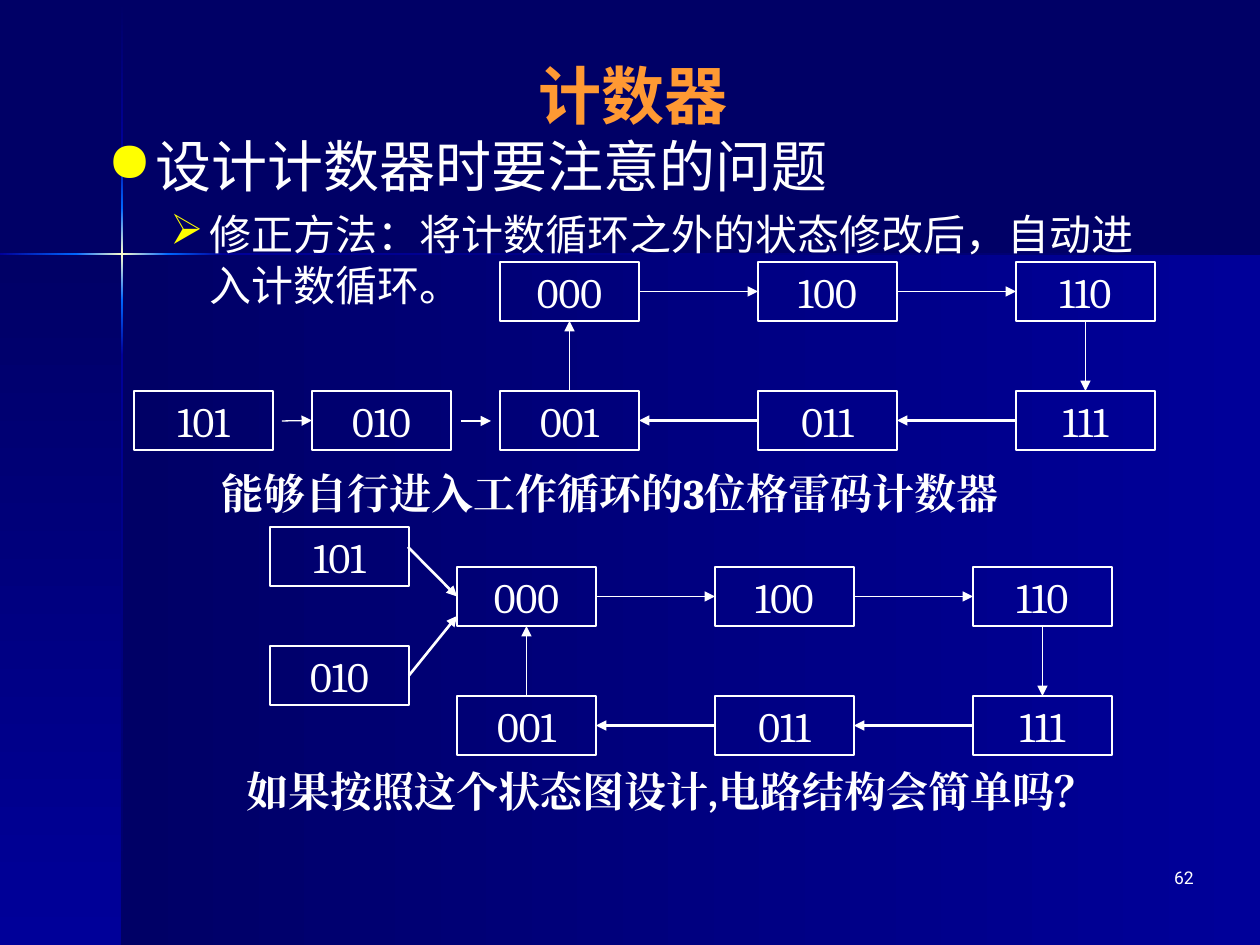
from lxml import etree
from pptx import Presentation
from pptx.dml.color import RGBColor
from pptx.enum.shapes import MSO_CONNECTOR as CONNECTOR, MSO_SHAPE as SHAPE
from pptx.enum.text import MSO_ANCHOR as ANCHOR, PP_ALIGN as ALIGN
from pptx.oxml.ns import qn
from pptx.util import Emu, Pt

WIDTH, HEIGHT = 1260, 945
SCALE = 914400 / 126
NAVY = RGBColor(0x00, 0x00, 0x66)
BLUE = RGBColor(0x00, 0x00, 0x99)
BRIGHT = RGBColor(0x00, 0x66, 0xFF)
CREAM = RGBColor(0xFF, 0xFF, 0xCC)
ORANGE = RGBColor(0xFF, 0x99, 0x33)
YELLOW = RGBColor(0xFF, 0xFF, 0x00)
WHITE = RGBColor(0xFF, 0xFF, 0xFF)
SANS, SERIF = "Roboto", "Cambria"

ACROSS, DOWN = 0, 90
BANDS = [
    ((122, 255, 1138, 690), ACROSS, (NAVY, BLUE)),
    ((0, 255, 122, 690), DOWN, (NAVY, BLUE)),
    ((121, 1, 2, 151), DOWN, (NAVY, BLUE)),
    ((121, 355, 2, 590), DOWN, (BLUE, NAVY)),
    ((223, 253, 1037, 2), ACROSS, (BLUE, NAVY)),
    ((121, 300, 2, 55), DOWN, (BRIGHT, BLUE)),
    ((121, 152, 2, 56), DOWN, (BLUE, BRIGHT)),
    ((121, 208, 2, 92), DOWN, (BRIGHT, CREAM, BRIGHT)),
    ((0, 253, 76, 2), ACROSS, (BLUE, BRIGHT)),
    ((168, 253, 55, 2), ACROSS, (BRIGHT, BLUE)),
    ((76, 253, 92, 2), ACROSS, (BRIGHT, CREAM, BRIGHT)),
]

TITLE = "计数器 "
BULLETS = [
    ("设计计数器时要注意的问题", 32, "●", 48, 48, 0),
    ("修正方法：将计数循环之外的状态修改后，自动进入计数循环。", 24, "➢", 102, 39, 6),
]
PAGE_NUMBER = "62"
CAPTIONS = [
    ("能够自行进入工作循环的3位格雷码计数器", (209, 461, 883, 63)),
    ("如果按照这个状态图设计,电路结构会简单吗？", (234, 759, 953, 63)),
]

BOX_WIDTH, BOX_HEIGHT = 139, 59
COLUMN_STEP, ROW_STEP = 258, 129
TOP, LEFT, BOTTOM, RIGHT = range(4)
STATES = [["000", "100", "110"], ["001", "011", "111"]]
TRANSITIONS = [
    ("000", RIGHT, "100", LEFT, 0.75),
    ("100", RIGHT, "110", LEFT, 0.75),
    ("110", BOTTOM, "111", TOP, 0.75),
    ("111", LEFT, "011", RIGHT, 1.5),
    ("011", LEFT, "001", RIGHT, 1.5),
    ("001", TOP, "000", BOTTOM, 0.75),
]
CHAIN_LOOP, MERGE_LOOP = (500, 262), (457, 567)
CHAIN_ENTRIES = {"101": (134, 391), "010": (312, 391)}
MERGE_ENTRIES = {"101": (270, 527), "010": (270, 646)}


def px(value):
    return Emu(round(value * SCALE))


def add_run(paragraph, text, size, font_name, color=WHITE, bold=False):
    run = paragraph.add_run()
    run.text = text
    font = run.font
    font.size, font.name, font.bold = Pt(size), font_name, bold
    font.color.rgb = color
    east_asian = etree.SubElement(run._r.get_or_add_rPr(), qn("a:ea"))
    east_asian.set("typeface", font_name)


def add_text_frame(slide, area):
    frame = slide.shapes.add_textbox(*map(px, area)).text_frame
    frame.word_wrap = True
    return frame


def add_band(slide, area, angle, colors):
    shape = slide.shapes.add_shape(SHAPE.RECTANGLE, *map(px, area))
    shape.shadow.inherit = False
    shape.line.fill.background()
    shape.fill.gradient()
    shape.fill.gradient_angle = -angle % 360
    stops = shape._element.spPr.find(".//" + qn("a:gsLst"))
    for stop in list(stops):
        stops.remove(stop)
    for index, color in enumerate(colors):
        position = str(100000 * index // (len(colors) - 1))
        stop = etree.SubElement(stops, qn("a:gs"), pos=position)
        etree.SubElement(stop, qn("a:srgbClr"), val=str(color))


def add_bullet(paragraph, character, margin, hanging):
    properties = paragraph._p.get_or_add_pPr()
    properties.set("marL", str(px(margin)))
    properties.set("indent", str(-px(hanging)))
    bullet_color = etree.SubElement(properties, qn("a:buClr"))
    etree.SubElement(bullet_color, qn("a:srgbClr"), val=str(YELLOW))
    etree.SubElement(properties, qn("a:buChar"), char=character)


def add_state(slide, name, left, top):
    shape = slide.shapes.add_shape(
        SHAPE.RECTANGLE, *map(px, (left, top, BOX_WIDTH, BOX_HEIGHT)))
    shape.shadow.inherit = False
    shape.fill.background()
    shape.line.color.rgb = WHITE
    shape.line.width = Pt(0.75)
    frame = shape.text_frame
    frame.word_wrap = False
    frame.vertical_anchor = ANCHOR.MIDDLE
    paragraph = frame.paragraphs[0]
    paragraph.alignment = ALIGN.CENTER
    add_run(paragraph, name, 24, SERIF)
    return shape


def add_arrow(slide, start, end, width=0.75):
    """Draw an arrow; each end is a point or a (shape, side) pair."""
    ends = [(0, 0) if hasattr(place[0], "text_frame") else place for place in (start, end)]
    arrow = slide.shapes.add_connector(
        CONNECTOR.STRAIGHT, *(px(value) for point in ends for value in point))
    if hasattr(start[0], "text_frame"):
        arrow.begin_connect(*start)
    if hasattr(end[0], "text_frame"):
        arrow.end_connect(*end)
    arrow.line.color.rgb = WHITE
    arrow.line.width = Pt(width)
    etree.SubElement(arrow.line._get_or_add_ln(), qn("a:tailEnd"), type="triangle")
    etree.SubElement(arrow._element.spPr, qn("a:effectLst"))


def add_diagram(slide, origin, entries):
    left, top = origin
    places = dict(entries)
    for row, names in enumerate(STATES):
        for column, name in enumerate(names):
            places[name] = (left + column * COLUMN_STEP, top + row * ROW_STEP)
    states = {name: add_state(slide, name, *place) for name, place in places.items()}
    for source, source_side, target, target_side, width in TRANSITIONS:
        add_arrow(slide, (states[source], source_side), (states[target], target_side), width)
    return states


def main():
    presentation = Presentation()
    presentation.slide_width, presentation.slide_height = px(WIDTH), px(HEIGHT)
    slide = presentation.slides.add_slide(presentation.slide_layouts[6])
    slide.background.fill.solid()
    slide.background.fill.fore_color.rgb = NAVY
    for band in BANDS:
        add_band(slide, *band)

    title = add_text_frame(slide, (63, 42, 1155, 105))
    title.vertical_anchor = ANCHOR.MIDDLE
    title.paragraphs[0].alignment = ALIGN.CENTER
    add_run(title.paragraphs[0], TITLE, 36, SANS, ORANGE, True)

    body = add_text_frame(slide, (95, 125, 1092, 640))
    for level, (text, size, character, margin, hanging, before) in enumerate(BULLETS):
        paragraph = body.add_paragraph() if level else body.paragraphs[0]
        paragraph.level = level
        add_bullet(paragraph, character, margin, hanging)
        paragraph.space_before = Pt(before)
        add_run(paragraph, text, size, SANS)

    number = add_text_frame(slide, (944, 861, 262, 63)).paragraphs[0]
    number.alignment = ALIGN.RIGHT
    add_run(number, PAGE_NUMBER, 10, SANS)

    for text, area in CAPTIONS:
        add_run(add_text_frame(slide, area).paragraphs[0], text, 24, SERIF, bold=True)

    chain = add_diagram(slide, CHAIN_LOOP, CHAIN_ENTRIES)
    add_arrow(slide, (282, 421), (chain["010"], LEFT))
    add_arrow(slide, (461, 421), (491, 421))

    merge = add_diagram(slide, MERGE_LOOP, MERGE_ENTRIES)
    add_arrow(slide, (408, 547), (merge["000"], LEFT), 1.5)
    add_arrow(slide, (merge["010"], RIGHT), (457, 616), 1.5)
    presentation.save("out.pptx")


if __name__ == "__main__":
    main()
